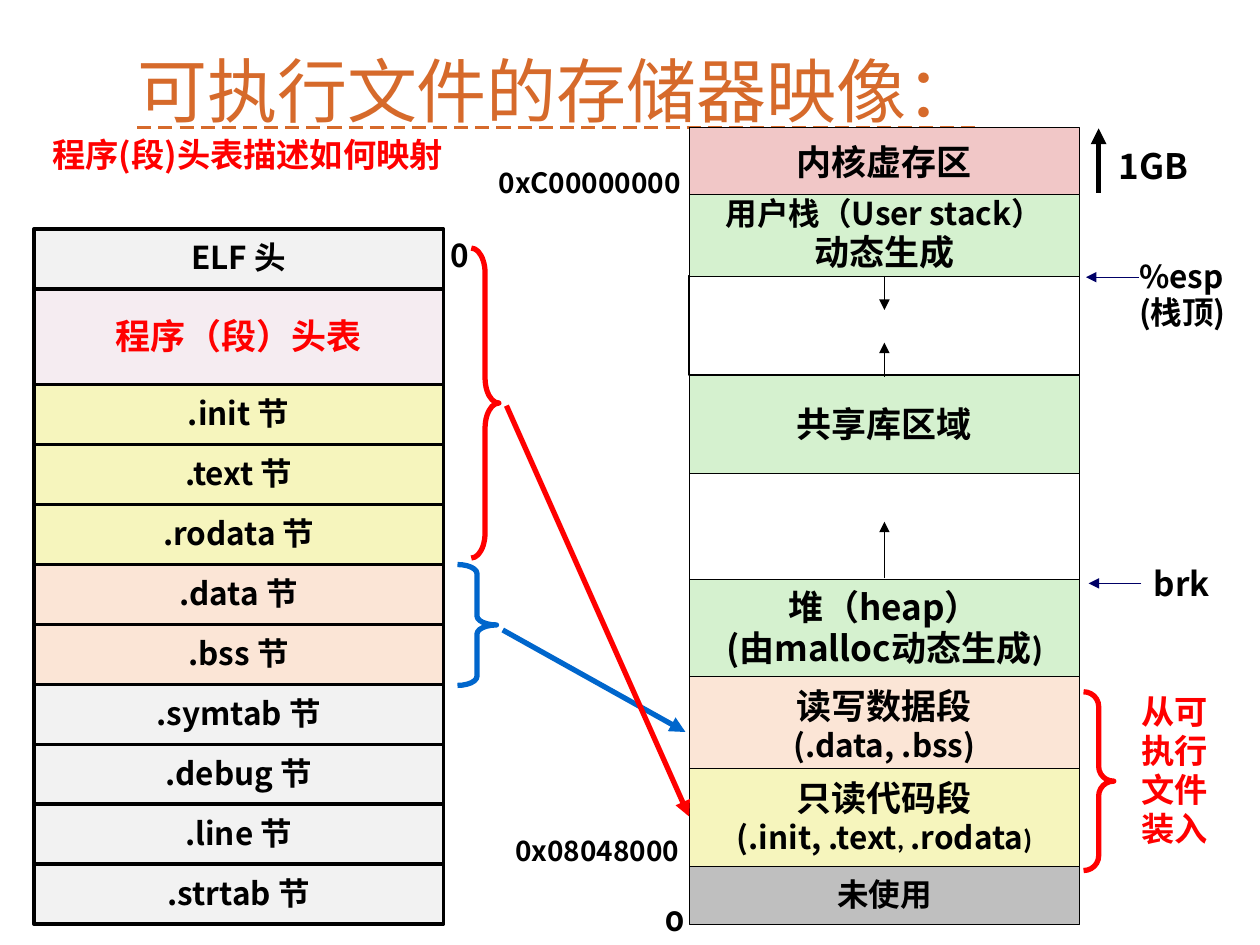
from dataclasses import dataclass

from lxml import etree
from pptx import Presentation
from pptx.dml.color import RGBColor
from pptx.enum.shapes import MSO_CONNECTOR, MSO_SHAPE
from pptx.enum.text import MSO_ANCHOR, MSO_AUTO_SIZE, MSO_UNDERLINE, PP_ALIGN
from pptx.oxml.ns import qn
from pptx.util import Pt

RECTANGLE, BRACE = MSO_SHAPE.RECTANGLE, MSO_SHAPE.RIGHT_BRACE
STRAIGHT = MSO_CONNECTOR.STRAIGHT
CENTER, LEFT = PP_ALIGN.CENTER, PP_ALIGN.LEFT
MIDDLE, BOTTOM = MSO_ANCHOR.MIDDLE, MSO_ANCHOR.BOTTOM
GROW = MSO_AUTO_SIZE.SHAPE_TO_FIT_TEXT
DASHED = MSO_UNDERLINE.DASH_LINE
CJK, LATIN, DISPLAY = "Noto Sans CJK SC", "Calibri", "Montserrat"

COLORS = {
    "title": "D66A2B", "black": "000000", "white": "FFFFFF", "red": "FF0000",
    "blue": "0066CC", "navy": "000066", "kernel": "F1C7C7", "dynamic": "D5F1CF",
    "unused": "BFBFBF", "data": "FBE5D6", "code": "F6F5BD", "other": "F2F2F2",
    "header": "993366",
}


@dataclass
class Piece:
    text: str
    size: float = 18
    font: str = CJK


@dataclass
class Block:
    lines: list[list[Piece]]
    top: float
    height: float
    fill: str
    border: float = 0.25
    color: str = "black"
    alpha: int = 100


@dataclass
class Label:
    lines: list[Piece]
    left: float
    top: float
    width: float
    height: float
    color: str = "black"
    wrap: bool = False
    inset: float = 7.2
    spacing: float = 0.98


@dataclass
class Arrow:
    start: tuple[float, float]
    end: tuple[float, float]
    color: str = "black"
    width: float = 0.25


@dataclass
class Brace:
    left: float
    top: float
    width: float
    height: float
    curve: float
    color: str


def rgb(name: str) -> RGBColor:
    return RGBColor.from_string(COLORS[name])


def style_run(run, piece: Piece, color: str, bold: bool = True) -> None:
    run.font.size = Pt(piece.size)
    run.font.bold = bold
    run.font.color.rgb = rgb(color)
    run.font.name = piece.font
    east_asian = etree.Element(qn("a:ea"), typeface=CJK)
    run.font._element.find(qn("a:latin")).addnext(east_asian)


def write_lines(frame, lines: list[list[Piece]], color: str, align, spacing: float) -> None:
    for number, pieces in enumerate(lines):
        paragraph = frame.paragraphs[0] if number == 0 else frame.add_paragraph()
        paragraph.alignment = align
        paragraph.line_spacing = spacing
        for piece in pieces:
            run = paragraph.add_run()
            run.text = piece.text
            style_run(run, piece, color)


def draw_block(slide, block: Block, left: float, width: float) -> None:
    box = slide.shapes.add_shape(RECTANGLE, Pt(left), Pt(block.top), Pt(width), Pt(block.height))
    box.shadow.inherit = False
    box.fill.solid()
    box.fill.fore_color.rgb = rgb(block.fill)
    if block.alpha < 100:
        fill_color = box._element.spPr.find(qn("a:solidFill"))[0]
        etree.SubElement(fill_color, qn("a:alpha"), val=str(block.alpha * 1000))
    box.line.color.rgb = rgb("black")
    box.line.width = Pt(block.border)
    box.text_frame.word_wrap = False
    box.text_frame.vertical_anchor = MIDDLE
    write_lines(box.text_frame, block.lines, block.color, CENTER, 0.98)


def draw_label(slide, label: Label) -> None:
    box = slide.shapes.add_textbox(Pt(label.left), Pt(label.top), Pt(label.width), Pt(label.height))
    frame = box.text_frame
    frame.word_wrap = label.wrap
    frame.auto_size = GROW
    frame.margin_left = frame.margin_right = Pt(label.inset)
    write_lines(frame, [[piece] for piece in label.lines], label.color, LEFT, label.spacing)


def draw_arrow(slide, arrow: Arrow) -> None:
    line = slide.shapes.add_connector(STRAIGHT, *map(Pt, arrow.start + arrow.end))
    line.line.color.rgb = rgb(arrow.color)
    line.line.width = Pt(arrow.width)
    properties = line._element.spPr
    etree.SubElement(properties.find(qn("a:ln")), qn("a:tailEnd"), type="triangle")
    etree.SubElement(properties, qn("a:effectLst"))


def draw_brace(slide, brace: Brace) -> None:
    shape = slide.shapes.add_shape(
        BRACE, Pt(brace.left), Pt(brace.top), Pt(brace.width), Pt(brace.height))
    shape.shadow.inherit = False
    shape.adjustments[0] = brace.curve
    shape.fill.background()
    shape.line.color.rgb = rgb(brace.color)
    shape.line.width = Pt(3)


# Virtual memory image: the free gap lies behind, the rest runs from high to low addresses
MEMORY_LEFT, MEMORY_WIDTH = 393.8, 223.2
MEMORY = [
    Block([], 157.3, 57, "white", 0.75),
    Block([[Piece("内核虚存区", 20)]], 72.7, 41, "kernel"),
    Block([[Piece("用户栈（User stack）")], [Piece("动态生成", 20, LATIN)]], 110.9, 46.8, "dynamic"),
    Block([[Piece("共享库区域", 20)]], 214.6, 56.2, "dynamic"),
    Block([], 270.7, 60.5, "white"),
    Block([[Piece("堆（heap）", 20)], [Piece("(由malloc动态生成", 20), Piece(")", 20, LATIN)]],
          331.2, 56.2, "dynamic"),
    Block([[Piece("读写数据段", 20)], [Piece("(.data, .bss)")]], 386.6, 56.2, "data"),
    Block([[Piece("只读代码段", 20)],
           [Piece("(.init, .text"), Piece(", ", 16, LATIN), Piece(".rodata"), Piece(")", 16, LATIN)]],
          439.2, 56.2, "code"),
    Block([[Piece("未使用")]], 495.2, 33.1, "unused"),
]

# Sections of the ELF file
FILE_LEFT, FILE_TOP, FILE_WIDTH = 19.4, 130.8, 234
ROW_HEIGHT, HEADER_HEIGHT = 34.26, 54.7
SECTIONS = {
    ".init": "code", ".text": "code", ".rodata": "code", ".data": "data", ".bss": "data",
    ".symtab": "other", ".debug": "other", ".line": "other", ".strtab": "other",
}

LABELS = [
    Label([Piece("程序(段)头表描述如何映射", 19)], 23, 73.4, 257, 30, "red", spacing=1),
    Label([Piece("0")], 250.6, 132.5, 25, 29),
    Label([Piece("0xC00000000", 16)], 277.9, 92.9, 123, 25, spacing=0.94),
    Label([Piece("0x08048000", 16)], 287.3, 474.5, 112, 25, spacing=0.94),
    Label([Piece("0", 16, DISPLAY)], 373, 513.4, 25, 26),
    Label([Piece("1GB", 20)], 632.2, 79.2, 66, 31, True and "black", True, spacing=1),
    Label([Piece("%esp"), Piece("(栈顶)")], 650.9, 144.7, 57.6, 49, wrap=True, inset=0, spacing=0.96),
    Label([Piece("brk", 19)], 652.3, 320.4, 54, 29, wrap=True, spacing=0.94),
    Label([Piece("从可执行文件装入", 19, LATIN)], 645.1, 392.4, 59, 96.5, "red", wrap=True),
]

MEMORY_MIDDLE = MEMORY_LEFT + MEMORY_WIDTH / 2
ARROWS = [
    Arrow((650.9, 158.4), (620.6, 158.4), "navy"),
    Arrow((652.3, 333.4), (622.1, 333.4), "navy"),
    Arrow((627.8, 110.2), (627.8, 73.4), width=3),
    Arrow((MEMORY_MIDDLE, 157.7), (MEMORY_MIDDLE, 177.1)),
    Arrow((MEMORY_MIDDLE, 215.3), (MEMORY_MIDDLE, 195.8)),
    Arrow((MEMORY_MIDDLE, 330.5), (MEMORY_MIDDLE, 298.1)),
    Arrow((287.3, 360), (391.7, 418.3), "blue", 3),
    Arrow((289.4, 231.8), (393.8, 466.6), "red", 3),
]

BRACES = [
    Brace(619.2, 395.3, 17.3, 102.2, 0.486, "red"),
    Brace(261.4, 322.6, 22.3, 69.1, 0.234, "blue"),
    Brace(269.3, 141.8, 15.8, 177.1, 0.915, "red"),
]


def file_blocks() -> list[Block]:
    header_top = FILE_TOP + ROW_HEIGHT
    sections_top = header_top + HEADER_HEIGHT
    return [
        Block([[Piece("ELF 头")]], FILE_TOP, ROW_HEIGHT, "other", 2),
        Block([[Piece("程序（段）头表", 20)]], header_top, HEADER_HEIGHT, "header", 2, "red", 9),
    ] + [
        Block([[Piece(f"{section} 节")]], sections_top + row * ROW_HEIGHT, ROW_HEIGHT, fill, 2)
        for row, (section, fill) in enumerate(SECTIONS.items())
    ]


def draw_title(slide) -> None:
    title = slide.shapes.title
    title.left, title.top, title.width, title.height = map(Pt, (19.4, 19.4, 597.6, 59.8))
    title.text_frame.text = "可执行文件的存储器映像："
    title.text_frame.vertical_anchor = BOTTOM
    paragraph = title.text_frame.paragraphs[0]
    paragraph.alignment = CENTER
    paragraph.line_spacing = 0.9
    style_run(paragraph.runs[0], Piece("", 40), "title", bold=False)
    paragraph.runs[0].font.underline = DASHED


def main() -> None:
    deck = Presentation()
    deck.slide_width, deck.slide_height = Pt(720), Pt(540)
    slide = deck.slides.add_slide(deck.slide_layouts[5])
    draw_title(slide)
    for block in MEMORY:
        draw_block(slide, block, MEMORY_LEFT, MEMORY_WIDTH)
    for block in file_blocks():
        draw_block(slide, block, FILE_LEFT, FILE_WIDTH)
    for brace in BRACES:
        draw_brace(slide, brace)
    for arrow in ARROWS:
        draw_arrow(slide, arrow)
    for label in LABELS:
        draw_label(slide, label)
    deck.save("out.pptx")


if __name__ == "__main__":
    main()
